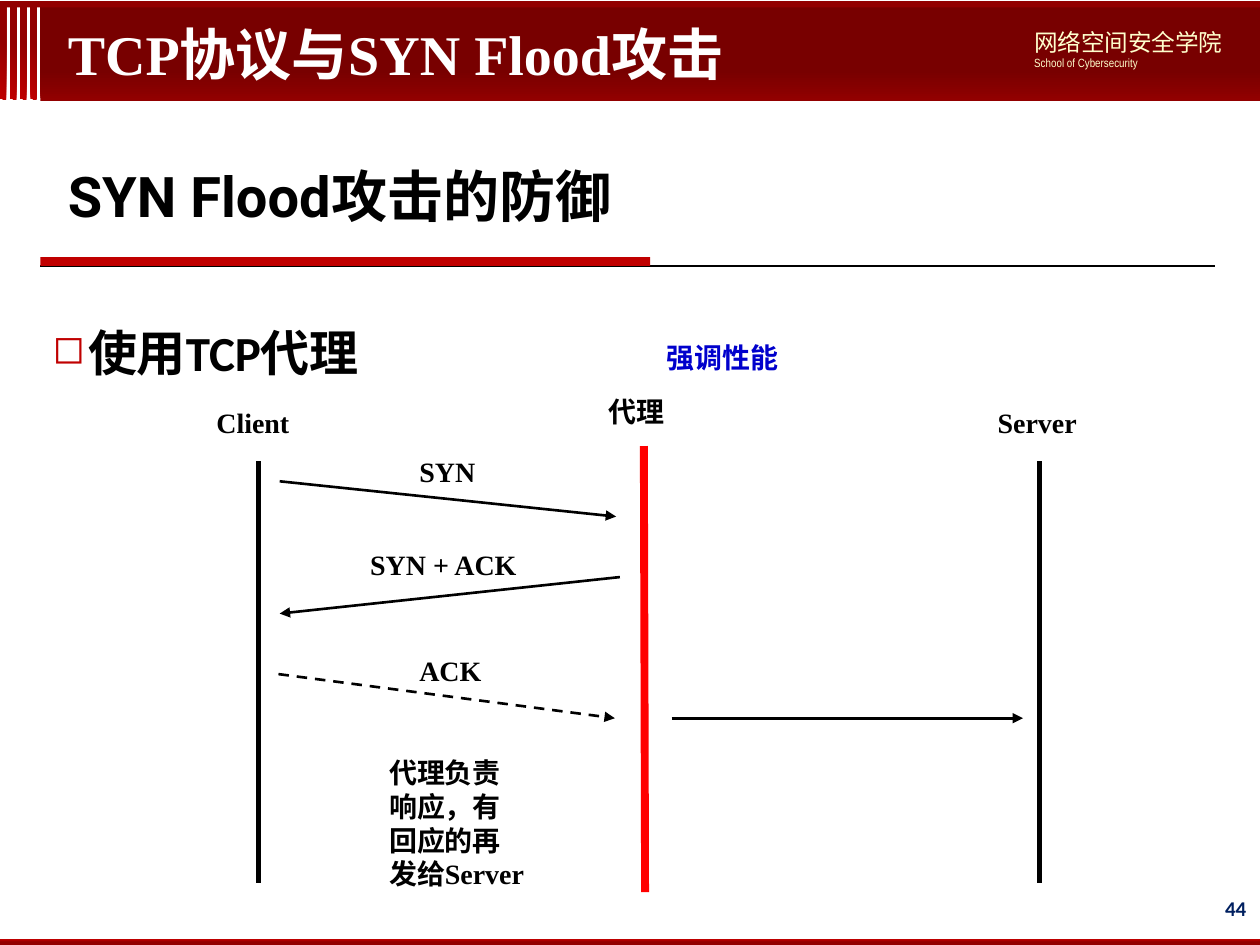
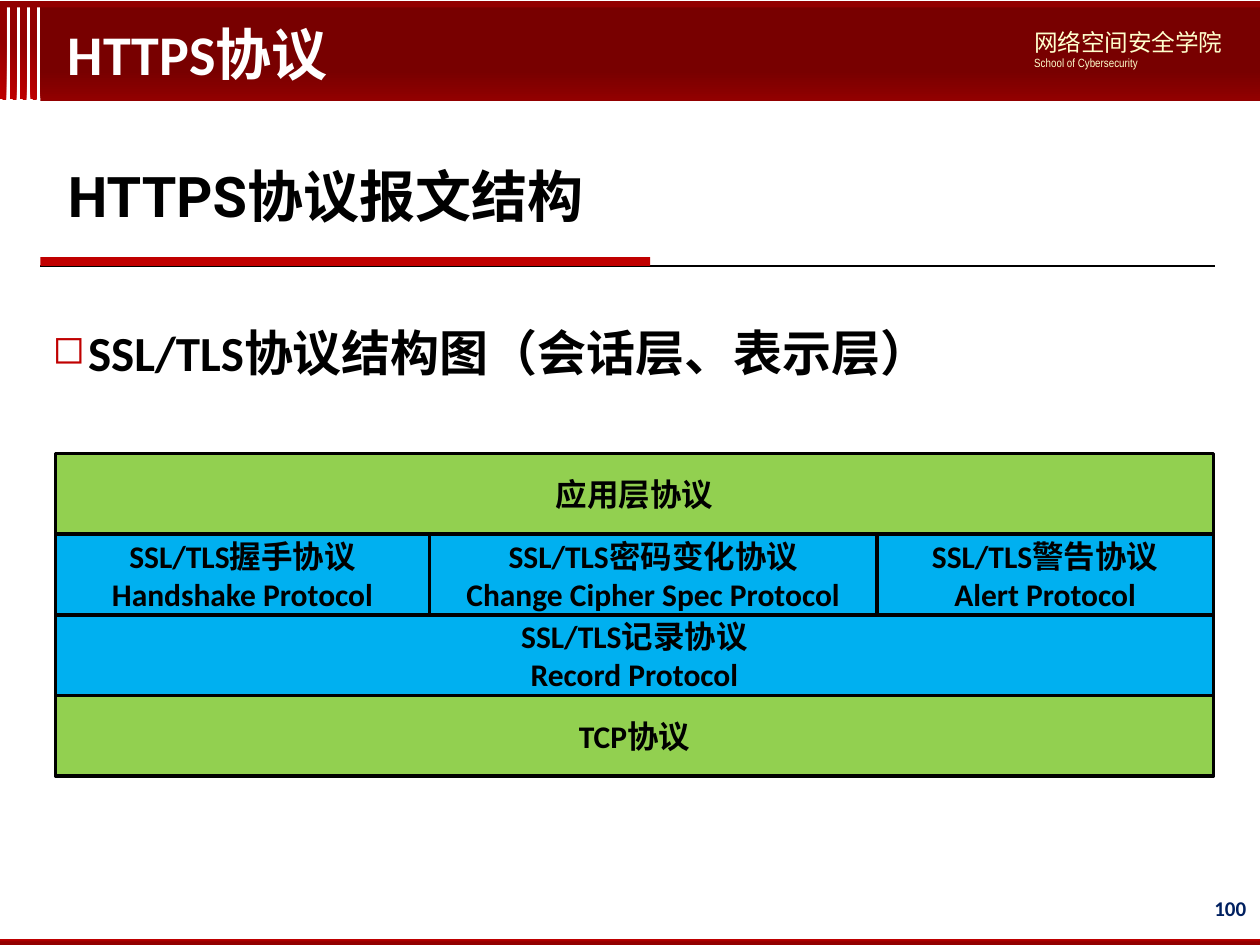
from itertools import accumulate

from lxml.etree import SubElement
from pptx import Presentation
from pptx.dml.color import RGBColor
from pptx.enum.dml import MSO_LINE
from pptx.enum.shapes import MSO_CONNECTOR as Connector, MSO_SHAPE as Shape
from pptx.enum.text import MSO_ANCHOR as Anchor, PP_ALIGN as Align
from pptx.oxml.ns import qn
from pptx.util import Inches, Pt

COLORS = {
    "black": "000000",
    "white": "FFFFFF",
    "crimson": "C00000",
    "maroon": "920000",
    "dark": "780000",
    "cream": "FFFFCD",
    "navy": "002060",
    "blue": "0000CC",
    "red": "FF0000",
    "green": "92D050",
    "sky": "00B0F0",
}
SERIF, SANS, HEADING, HAN = "Times New Roman", "Calibri", "Roboto", "Noto Sans CJK SC"


def rgb(name):
    return RGBColor.from_string(COLORS[name])


def write(paragraph, text, *, size, font=SANS, color="black", bold=True,
          align=Align.LEFT):
    paragraph.alignment = align
    run = paragraph.add_run()
    run.text = text
    run.font.size = Pt(size)
    run.font.name = font
    run.font.bold = bold
    run.font.color.rgb = rgb(color)
    SubElement(run.font._element, qn("a:ea"), typeface=HAN)


def add_bullet(paragraph):
    props = paragraph._p.get_or_add_pPr()
    props.set("marL", str(Inches(0.28)))
    props.set("indent", str(-Inches(0.28)))
    bullet_color = SubElement(props, qn("a:buClr"))
    SubElement(bullet_color, qn("a:srgbClr"), val=COLORS["crimson"])
    SubElement(props, qn("a:buSzPct"), val="80000")
    SubElement(props, qn("a:buChar"), char="◻")
    paragraph.line_spacing = 1.2


class Deck:
    def __init__(self):
        self.prs = Presentation()
        self.prs.slide_width, self.prs.slide_height = Inches(10), Inches(7.5)
        self.slide = None

    def block(self, left, top, width, height, fill, *, stops=None, angle=0, border=None):
        rect = self.slide.shapes.add_shape(
            Shape.RECTANGLE, Inches(left), Inches(top), Inches(width), Inches(height))
        rect.shadow.inherit = False
        if stops:
            rect.fill.gradient()
            rect.fill.gradient_angle = angle
            for stop, (position, color) in zip(rect.fill.gradient_stops, stops):
                stop.position = position
                stop.color.rgb = rgb(color)
        else:
            rect.fill.solid()
            rect.fill.fore_color.rgb = rgb(fill)
        if border:
            rect.line.color.rgb = rgb("black")
            rect.line.width = Pt(border)
        else:
            rect.line.fill.background()
        return rect

    def text(self, left, top, width, height, text, *, anchor=Anchor.TOP, bullet=False,
             **style):
        box = self.slide.shapes.add_textbox(
            Inches(left), Inches(top), Inches(width), Inches(height))
        frame = box.text_frame
        frame.word_wrap = True
        frame.vertical_anchor = anchor
        if bullet:
            add_bullet(frame.paragraphs[0])
        write(frame.paragraphs[0], text, **style)
        return frame

    def label(self, left, top, width, text, *, height=0.37, color="black"):
        self.text(left, top, width, height, text, size=16, font=SERIF, color=color)

    def line(self, start, end, *, width=1.5, color="black", arrow=False, dashed=False):
        link = self.slide.shapes.add_connector(
            Connector.STRAIGHT, *(Inches(value) for value in (*start, *end)))
        link.line.width = Pt(width)
        link.line.color.rgb = rgb(color)
        if dashed:
            link.line.dash_style = MSO_LINE.DASH
        if arrow:
            SubElement(link.line._get_or_add_ln(), qn("a:tailEnd"), type="triangle")
        SubElement(link._element.spPr, qn("a:effectLst"))

    def layer(self, left, top, width, height, fill, lines):
        frame = self.block(left, top, width, height, fill, border=2).text_frame
        frame.word_wrap = True
        frame.vertical_anchor = Anchor.MIDDLE
        for index, text in enumerate(lines):
            paragraph = frame.add_paragraph() if index else frame.paragraphs[0]
            write(paragraph, text, size=18, align=Align.CENTER)

    def new_slide(self, title, subtitle, topic, number, title_font):
        self.slide = self.prs.slides.add_slide(self.prs.slide_layouts[6])
        for index in range(4):
            self.block(0.08 * index, 0.05, 0.05, 0.74, None, angle=45,
                       stops=[(0, "crimson"), (0.62, "maroon")])
        self.block(0.32, 0.06, 9.68, 0.74, None, angle=90,
                   stops=[(0, "maroon"), (0.32, "dark")])
        self.block(0, 7.45, 10.01, 0.05, None, angle=270,
                   stops=[(0.1, "crimson"), (0.54, "maroon")])
        self.block(-0.01, 0.01, 10.01, 0.05, "maroon")
        self.text(7.63, 7.01, 2.36, 0.4, str(number), size=12, color="navy",
                  align=Align.RIGHT, anchor=Anchor.MIDDLE)
        school = self.text(8.11, 0.17, 1.81, 0.44, "网络空间安全学院", size=13.5,
                           font=HAN, color="cream", bold=False)
        write(school.add_paragraph(), "School of Cybersecurity", size=6.8,
              font="Arial Narrow", color="cream", bold=False)
        self.line((0.32, 2.11), (9.64, 2.11))
        self.block(0.32, 2.04, 4.84, 0.07, "crimson")
        self.text(0.44, 0.05, 6.77, 0.74, title, size=32, font=title_font,
                  color="white", anchor=Anchor.MIDDLE)
        self.text(0.44, 1.23, 9.19, 0.75, subtitle, size=32, font=HEADING)
        self.text(0.32, 2.42, 9.31, 4.59, topic, size=28, bullet=True)


def build_proxy_defence(deck):
    deck.new_slide("TCP协议与SYN Flood攻击", "SYN Flood攻击的防御", "使用TCP代理", 44, SERIF)
    for host, x in (("Client", 2.05), ("Server", 8.25)):
        deck.line((x, 3.66), (x, 7.01), width=3)
        deck.label(x - 0.43, 3.17, 0.87, host)
    deck.line((5.11, 3.54), (5.12, 7.08), width=4.5, color="red")
    deck.label(4.73, 3.08, 0.76, "代理")
    deck.label(5.19, 2.65, 2.02, "强调性能", color="blue")
    deck.label(2.99, 5.95, 1.3, "代理负责响应，有回应的再发给Server", height=1.18)

    messages = [
        ("SYN", 3.23, 3.56, 0.71, (2.22, 3.82), (4.89, 4.1), False),
        ("SYN + ACK", 2.84, 4.3, 1.84, (4.92, 4.58), (2.22, 4.87), False),
        ("ACK", 3.23, 5.14, 0.71, (2.21, 5.35), (4.88, 5.7), True),
    ]
    for name, left, top, width, start, end, dashed in messages:
        deck.line(start, end, arrow=True, dashed=dashed)
        deck.label(left, top, width, name)
    deck.line((5.33, 5.7), (8.12, 5.7), arrow=True)


def build_https_structure(deck):
    deck.new_slide("HTTPS协议", "HTTPS协议报文结构", "SSL/TLS协议结构图（会话层、表示层）", 100, SANS)
    left, top, full, height = 0.44, 3.6, 9.19, 0.64
    stack = [
        ("green", [(full, ["应用层协议"])]),
        ("sky", [
            (2.97, ["SSL/TLS握手协议", "Handshake Protocol"]),
            (3.55, ["SSL/TLS密码变化协议", "Change Cipher Spec Protocol"]),
            (2.67, ["SSL/TLS警告协议", "Alert Protocol"]),
        ]),
        ("sky", [(full, ["SSL/TLS记录协议", "Record Protocol"])]),
        ("green", [(full, ["TCP协议"])]),
    ]
    for level, (fill, protocols) in enumerate(stack):
        lefts = accumulate((width for width, _ in protocols), initial=left)
        for x, (width, lines) in zip(lefts, protocols):
            deck.layer(x, top + level * height, width, height, fill, lines)


def main():
    deck = Deck()
    build_proxy_defence(deck)
    build_https_structure(deck)
    deck.prs.save("out.pptx")


if __name__ == "__main__":
    main()
